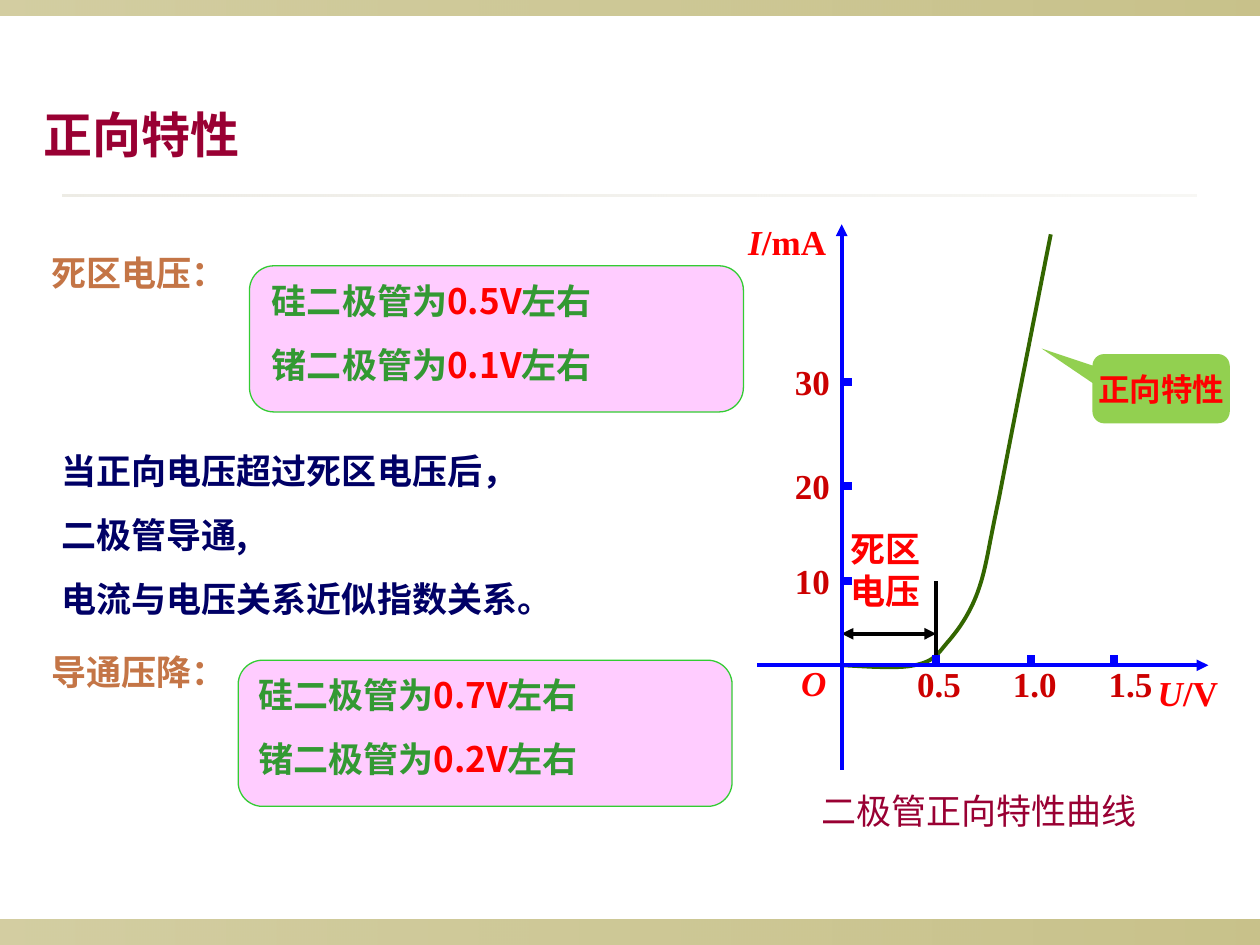
from dataclasses import dataclass

from lxml.etree import SubElement
from pptx import Presentation
from pptx.dml.color import RGBColor
from pptx.enum.shapes import MSO_CONNECTOR, MSO_SHAPE as Shape
from pptx.enum.text import MSO_ANCHOR, PP_ALIGN
from pptx.oxml.ns import qn
from pptx.util import Inches, Pt


@dataclass(frozen=True)
class Theme:
    cjk: str = "Noto Sans CJK SC"
    serif: str = "Times New Roman"
    sans: str = "Arial"
    title_size: float = 28
    body_size: float = 20
    callout_size: float = 18
    space: float = 12.5
    band: str = "918415"
    rule: str = "DCD9CC"
    title: str = "990033"
    heading: str = "C47546"
    body: str = "000066"
    device: str = "339933"
    red: str = "FF0000"
    tick: str = "CC0000"
    panel: str = "FFCCFF"
    panel_line: str = "33CC33"
    axis: str = "0000FF"
    curve: str = "336600"
    black: str = "000000"
    callout: str = "92D050"


THEME = Theme()


def rgb(color):
    return RGBColor.from_string(color)


def style(span, color, size=THEME.body_size, font=THEME.cjk, bold=True, italic=False):
    span.font.size, span.font.name = Pt(size), font
    span.font.bold, span.font.italic = bold, italic
    span.font.color.rgb = rgb(color)
    SubElement(span.font._element, qn("a:ea")).set("typeface", THEME.cjk)


def add_text(page, box, lines, **look):
    """Each line is a list of (text, style changes) pairs."""
    frame = page.shapes.add_textbox(*map(Inches, box)).text_frame
    frame.word_wrap = True
    for index, line in enumerate(lines):
        para = frame.add_paragraph() if index else frame.paragraphs[0]
        if index:
            para.space_before = Pt(THEME.space)
        for text, changes in line:
            span = para.add_run()
            span.text = text
            style(span, **{**look, **changes})


def add_label(page, box, text, color, **look):
    add_text(page, box, [[(text, {})]], color=color, **look)


def add_line(page, start, end, color, width=2.25, arrows=()):
    line = page.shapes.add_connector(MSO_CONNECTOR.STRAIGHT, *map(Inches, start + end))
    line.line.color.rgb, line.line.width = rgb(color), Pt(width)
    outline = line.line._get_or_add_ln()
    for arrow in arrows:
        SubElement(outline, qn(f"a:{arrow}")).set("type", "triangle")
    SubElement(line._element.spPr, qn("a:effectLst"))


def add_shape(page, kind, box, fill=None):
    shape = page.shapes.add_shape(kind, *map(Inches, box))
    shape.shadow.inherit = False
    shape.line.fill.background()
    if fill:
        shape.fill.solid()
        shape.fill.fore_color.rgb = rgb(fill)
    return shape


def add_fading_bar(page, box, color, opacities):
    bar = add_shape(page, Shape.RECTANGLE, box)
    bar.fill.gradient()
    bar.fill.gradient_angle = 0
    for stop in bar.fill.gradient_stops:
        stop.color.rgb = rgb(color)
    for node, opacity in zip(bar._element.xpath(".//a:gs/a:srgbClr"), opacities):
        SubElement(node, qn("a:alpha")).set("val", str(opacity * 1000))


def add_frame(page, width, height):
    add_fading_bar(page, (0, height - 0.2, width, 0.2), THEME.band, (40, 50))
    add_fading_bar(page, (0, 0, width, 0.12), THEME.band, (40, 50))
    add_fading_bar(page, (0.5, 1.54, width - 1, 0.02), THEME.rule, (50, 20))
    add_label(page, (0.25, 0.78, 2.88, 0.57), "正向特性", THEME.title,
              size=THEME.title_size)


def add_voltage_panel(page, box, text_offset, silicon, germanium):
    """Rounded panel with one line for each diode material."""
    left, top, width, height = box
    panel = add_shape(page, Shape.FLOWCHART_ALTERNATE_PROCESS, box, THEME.panel)
    panel.line.color.rgb, panel.line.width = rgb(THEME.panel_line), Pt(0.75)
    lines = [[(f"{name}二极管为", {}), (volts, {"color": THEME.red}), ("左右", {})]
             for name, volts in (("硅", silicon), ("锗", germanium))]
    add_text(page, (left + text_offset, top + 0.06, width, 0.94), lines,
             color=THEME.device)


def add_explanation(page, left, top):
    add_label(page, (left, top, 2.4, 0.44), "死区电压：", THEME.heading)
    add_voltage_panel(page, (left + 1.67, top + 0.16, 3.92, 1.16), 0.08, "0.5V", "0.1V")
    lines = ("当正向电压超过死区电压后，", "二极管导通,", "电流与电压关系近似指数关系。")
    add_text(page, (left + 0.08, top + 1.57, 4.98, 1.45),
             [[(line, {})] for line in lines], color=THEME.body)
    add_label(page, (left, top + 3.16, 2.4, 0.44), "导通压降：", THEME.heading)
    add_voltage_panel(page, (left + 1.58, top + 3.29, 3.92, 1.16), 0.06, "0.7V", "0.2V")


def add_curve(page, start, segments, steps=16):
    """Cubic segments, each given as two controls and an end point."""
    points = []
    for first, second, end in segments:
        for step in range(1, steps + 1):
            t = step / steps
            weights = ((1 - t) ** 3, 3 * t * (1 - t) ** 2, 3 * t * t * (1 - t), t ** 3)
            corners = (start, first, second, end)
            points.append(tuple(Inches(sum(w * c[axis] for w, c in zip(weights, corners)))
                                for axis in (0, 1)))
        start = end
    builder = page.shapes.build_freeform(*map(Inches, segments_origin(segments)))
    builder.add_line_segments(points, close=False)
    curve = builder.convert_to_shape()
    curve.shadow.inherit = False
    curve.fill.background()
    curve.line.color.rgb, curve.line.width = rgb(THEME.curve), Pt(2.25)


def segments_origin(segments):
    return ORIGIN


ORIGIN = (6.68, 5.28)


def add_diode_chart(page, origin):
    x, y = origin
    tick = 0.08
    threshold = x + 0.75
    serif = {"font": THEME.serif}

    # Characteristic curve and dead zone
    add_curve(page, origin, [
        ((6.9, 5.29), (7.12, 5.31), (7.26, 5.28)),
        ((7.4, 5.25), (7.43, 5.21), (7.51, 5.11)),
        ((7.59, 5.02), (7.69, 4.89), (7.76, 4.7)),
        ((7.83, 4.5), (7.83, 4.42), (7.93, 3.95)),
        ((8.02, 3.48), (8.18, 2.67), (8.34, 1.86)),
    ])
    add_line(page, (threshold, y - tick), (threshold, y - 0.67), THEME.black)
    add_line(page, (x, y - 0.25), (threshold, y - 0.25), THEME.black,
             arrows=("headEnd", "tailEnd"))
    add_label(page, (x - 0.03, y - 1.14, 0.78, 0.77), "死区电压", THEME.red, **serif)

    # Ticks and their values
    for index, (text, offset) in enumerate((("0.5", 0.75), ("1.0", 1.5), ("1.5", 2.16))):
        add_line(page, (x + offset, y - tick), (x + offset, y), THEME.axis, 4.5)
        add_label(page, (x + 0.5 + 0.76 * index, y - 0.07, 0.6, 0.44), text,
                  THEME.tick, **serif)
    for text, offset in (("10", 0.67), ("20", 1.42), ("30", 2.25)):
        add_line(page, (x, y - offset), (x + tick, y - offset), THEME.axis, 4.5)
        add_label(page, (x - 0.47, y - offset - 0.22, 0.6, 0.44), text,
                  THEME.tick, **serif)

    # Axes and their names
    add_line(page, (x - 0.67, y), (x + 2.91, y), THEME.axis, arrows=("tailEnd",))
    add_line(page, (x, y + 0.83), (x, y - 3.5), THEME.axis, arrows=("tailEnd",))
    for symbol, unit, left, top in (("U", "/V", 2.41, 0), ("I", "/mA", -0.84, -3.58),
                                    ("O", "", -0.42, -0.08)):
        spans = [(symbol, {"italic": True})] + ([(unit, {})] if unit else [])
        add_text(page, (x + left, y + top, 0.83, 0.44), [spans], color=THEME.red, **serif)

    # Caption and callout
    add_label(page, (x - 0.26, y + 0.94, 3.01, 0.44), "二极管正向特性曲线",
              THEME.title, bold=False, **serif)
    callout = add_shape(page, Shape.ROUNDED_RECTANGULAR_CALLOUT,
                        (x + 1.99, y - 2.47, 1.09, 0.55), THEME.callout)
    for index, value in enumerate((-0.87, -0.58, 0.17)):
        callout.adjustments[index] = value
    frame = callout.text_frame
    frame.text = "正向特性"
    frame.word_wrap = False
    frame.vertical_anchor = MSO_ANCHOR.MIDDLE
    para = frame.paragraphs[0]
    para.alignment = PP_ALIGN.CENTER
    style(para.runs[0], THEME.red, THEME.callout_size, THEME.sans)


def main():
    deck = Presentation()
    deck.slide_width, deck.slide_height = Inches(10), Inches(7.5)
    page = deck.slides.add_slide(deck.slide_layouts[6])
    add_frame(page, 10, 7.5)
    add_explanation(page, 0.31, 1.95)
    add_diode_chart(page, ORIGIN)
    deck.save("out.pptx")


if __name__ == "__main__":
    main()
